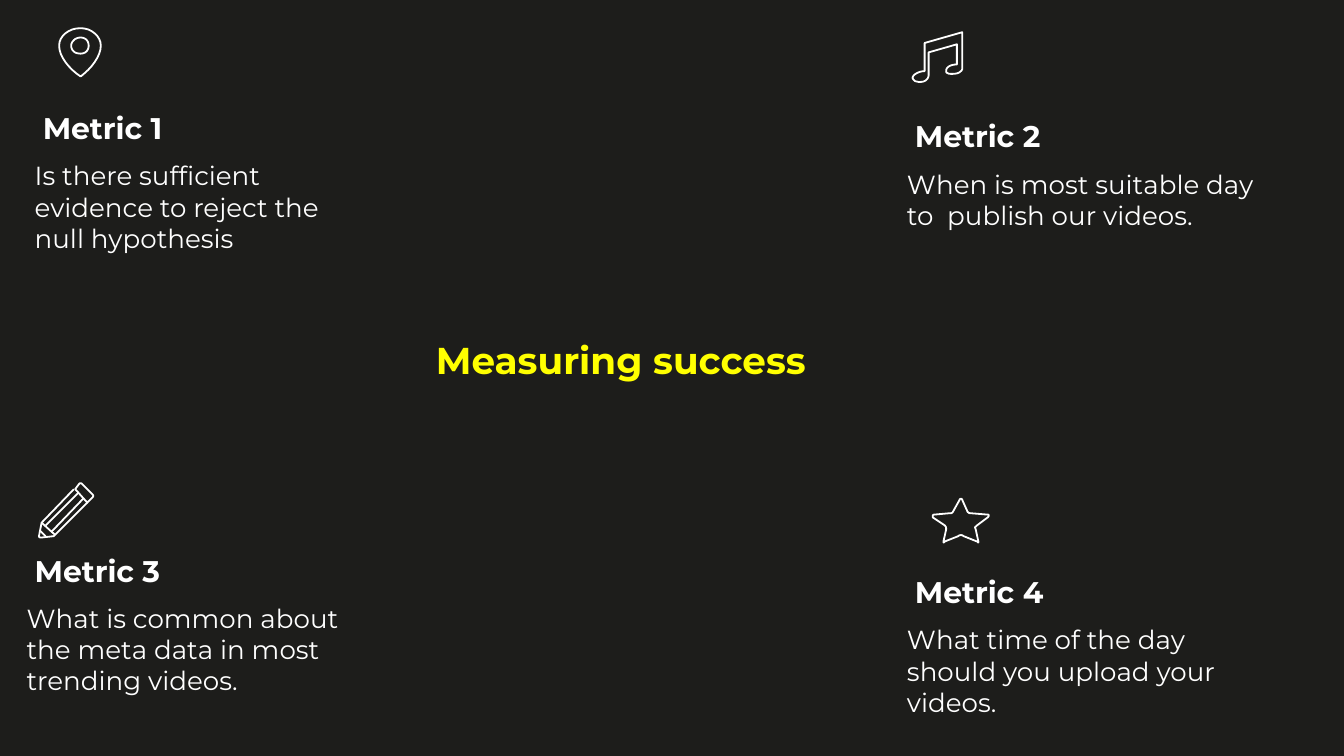
from dataclasses import dataclass

from lxml import etree
from pptx import Presentation, util as u
from pptx.dml.color import RGBColor
from pptx.enum import shapes, text
from pptx.oxml.ns import qn

HUES = {"back": "1D1D1B", "text": "FFFFFF", "title": "FFFF00"}
FONT = "Montserrat"
STROKE = u.Pt(0.96)
UNITS = 1000
WIDTH = 10
Step = tuple[float, ...]


@dataclass
class Path:
    start: Step
    steps: list[Step]
    closed: bool = True


@dataclass
class Metric:
    head: str
    body: str
    left: float
    top: float
    width: float
    paths: list[list[Path]]
    lines: tuple[Step, ...] = ()


PIN = [
    Path((0.6, 0.21), [
        (0.68, 0.21, 0.75, 0.27, 0.75, 0.34), (0.75, 0.42, 0.68, 0.51, 0.6, 0.57),
        (0.51, 0.51, 0.44, 0.42, 0.44, 0.34), (0.44, 0.27, 0.51, 0.21, 0.6, 0.21)]),
    Path((0.6, 0.28), [
        (0.64, 0.28, 0.66, 0.31, 0.66, 0.34), (0.66, 0.38, 0.63, 0.4, 0.6, 0.4),
        (0.56, 0.4, 0.53, 0.38, 0.53, 0.34), (0.53, 0.31, 0.56, 0.28, 0.6, 0.28)]),
]
NOTE = [Path((6.88, 0.32), [
    (6.88, 0.53), (6.83, 0.53, 6.79, 0.56, 6.79, 0.58),
    (6.8, 0.61, 6.83, 0.61, 6.85, 0.61), (6.89, 0.61, 6.91, 0.58, 6.91, 0.56),
    (6.91, 0.39), (7.12, 0.33), (7.12, 0.48),
    (7.07, 0.48, 7.04, 0.5, 7.04, 0.53), (7.04, 0.55, 7.07, 0.55, 7.09, 0.55),
    (7.13, 0.55, 7.16, 0.53, 7.16, 0.51), (7.16, 0.24)])]
CAP = [Path((0.69, 3.68), [
    (0.61, 3.6), (0.61, 3.6, 0.6, 3.59, 0.59, 3.6), (0.56, 3.64),
    (0.65, 3.74), (0.69, 3.7), (0.7, 3.69, 0.69, 3.68, 0.69, 3.68)])]
SHAFT = [Path((0.55, 3.64), [
    (0.31, 3.89), (0.29, 3.99), (0.29, 4, 0.3, 4, 0.31, 4),
    (0.4, 3.99), (0.41, 3.98), (0.65, 3.74)], False)]
GRAIN = ((0.62, 3.71, 0.38, 3.96), (0.34, 3.91, 0.58, 3.67),
         (0.34, 3.99, 0.3, 3.95), (0.31, 3.89, 0.41, 3.98))
STAR = [Path((7.14, 3.72), [
    (7.14, 3.71, 7.16, 3.71, 7.16, 3.72), (7.2, 3.81),
    (7.21, 3.82, 7.22, 3.82, 7.23, 3.82), (7.35, 3.83),
    (7.36, 3.83, 7.36, 3.84, 7.35, 3.85), (7.27, 3.91),
    (7.26, 3.92, 7.25, 3.92, 7.26, 3.94), (7.28, 4.03),
    (7.28, 4.04, 7.28, 4.04, 7.27, 4.03), (7.17, 3.99),
    (7.16, 3.98, 7.14, 3.98, 7.13, 3.99), (7.03, 4.03),
    (7.02, 4.04, 7.02, 4.04, 7.02, 4.03), (7.04, 3.94),
    (7.04, 3.93, 7.04, 3.92, 7.03, 3.91), (6.94, 3.85),
    (6.94, 3.84, 6.94, 3.83, 6.95, 3.83), (7.06, 3.82),
    (7.08, 3.82, 7.08, 3.82, 7.09, 3.81)])]

METRICS = [
    Metric("Metric 1", "Is there sufficient evidence to reject the null hypothesis",
           0.16, 0.77, 2.68, [PIN]),
    Metric("Metric 2", "When is most suitable day to  publish our videos.",
           6.65, 0.83, 2.79, [NOTE]),
    Metric("Metric 3", "What is common about the meta data in most trending videos.",
           0.1, 4.06, 2.74, [CAP, SHAFT], GRAIN),
    Metric("Metric 4", "What time of the day should you upload your videos.",
           6.65, 4.22, 2.91, [STAR]),
]


def hue(name: str) -> RGBColor:
    return RGBColor.from_string(HUES[name])


def write(parent, words: str, *, left: float, top: float, width: float, height: float,
          size: int, tone: str = "text", bold: bool = False,
          align=text.PP_ALIGN.LEFT) -> None:
    box = parent.add_textbox(*map(u.Inches, (left, top, width, height)))
    frame = box.text_frame
    frame.word_wrap = True
    frame.auto_size = text.MSO_AUTO_SIZE.SHAPE_TO_FIT_TEXT
    par = frame.paragraphs[0]
    par.alignment = align
    run = par.add_run()
    run.text = words
    run.font.name = FONT
    run.font.size = u.Pt(size)
    run.font.bold = bold
    run.font.color.rgb = hue(tone)


def trace(path: Path, count: int = 8) -> list[Step]:
    points = [path.start]
    for step in path.steps:
        if len(step) == 2:
            points.append(step)
            continue
        nodes = (points[-1], step[:2], step[2:4], step[4:])
        for i in range(1, count + 1):
            t = i / count
            parts = ((1 - t) ** 3, 3 * t * (1 - t) ** 2, 3 * t * t * (1 - t), t ** 3)
            points.append(tuple(sum(p * n[k] for p, n in zip(parts, nodes)) for k in (0, 1)))
    return [(x * UNITS, y * UNITS) for x, y in points]


def ink(item) -> None:
    item.line.color.rgb = hue("text")
    item.line.width = STROKE


def outline(parent, paths: list[Path]) -> None:
    pen = None
    for path in paths:
        first, *rest = trace(path)
        if pen is None:
            pen = parent.build_freeform(*first, scale=u.Inches(1) / UNITS)
        else:
            pen.move_to(*first)
        pen.add_line_segments(rest, close=path.closed)
    shape = pen.convert_to_shape()
    shape.shadow.inherit = False
    shape.fill.background()
    ink(shape)


def stroke(parent, ends: Step) -> None:
    line = parent.add_connector(shapes.MSO_CONNECTOR.STRAIGHT, *map(u.Inches, ends))
    ink(line)
    etree.SubElement(line._element.spPr, qn("a:effectLst"))


def draw(slide, item: Metric) -> None:
    group = slide.shapes.add_group_shape().shapes
    for paths in item.paths:
        outline(group, paths)
    for ends in item.lines:
        stroke(group, ends)
    write(group, item.body, left=item.left, top=item.top + 0.37,
          width=item.width, height=0.81, size=14)
    write(group, item.head, left=item.left + 0.06, top=item.top,
          width=1.9, height=0.37, size=16, bold=True)


def main() -> None:
    deck = Presentation()
    deck.slide_width = u.Inches(WIDTH)
    deck.slide_height = u.Inches(WIDTH * 9 / 16)
    slide = deck.slides.add_slide(deck.slide_layouts[6])
    slide.background.fill.solid()
    slide.background.fill.fore_color.rgb = hue("back")
    write(slide.shapes, "Measuring success", left=3.03, top=2.46, width=3.18, height=0.44,
          size=20, tone="title", bold=True, align=text.PP_ALIGN.CENTER)
    for item in METRICS:
        draw(slide, item)
    deck.save("out.pptx")


if __name__ == "__main__":
    main()
